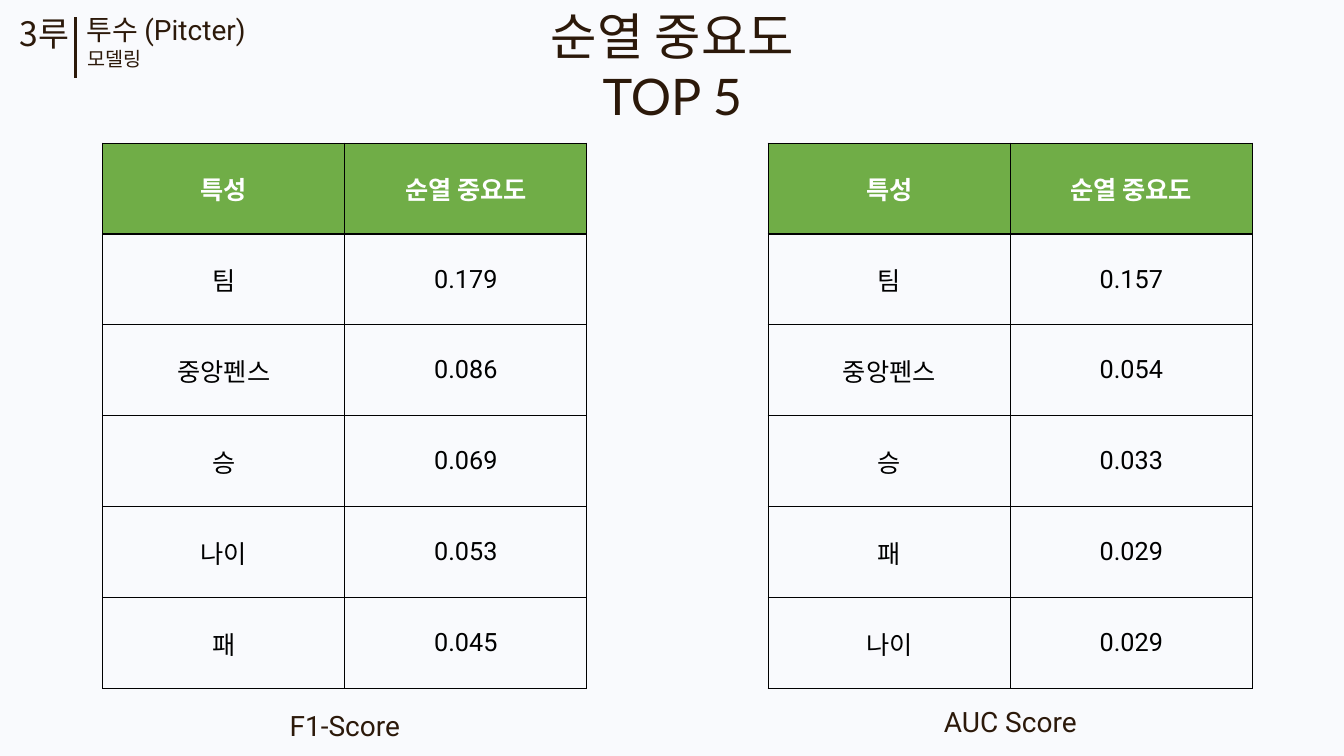
"""Build the slide with the top five permutation importances for pitchers."""
from lxml.etree import SubElement
from pptx import Presentation
from pptx.dml.color import RGBColor
from pptx.enum.shapes import MSO_CONNECTOR
from pptx.enum.text import MSO_ANCHOR, MSO_AUTO_SIZE, PP_ALIGN
from pptx.oxml.ns import qn
from pptx.util import Inches, Pt

BROWN, BLACK, WHITE, GREEN, PALE = "2C190A", "000000", "FFFFFF", "70AD47", "F9FAFD"
LEFT, CENTER = PP_ALIGN.LEFT, PP_ALIGN.CENTER
TABLE_TOP, COLUMN_WIDTH, ROW_HEIGHT = 1.42, 2.4, 0.9017

LABELS = [
    (["3루"], (0.1, 0.08, 1.24, 0.5), 24, "Noto Sans CJK KR", LEFT),
    (["투수 (Pitcter)"], (0.76, 0.08, 5.63, 0.44), 20, "Roboto", LEFT),
    (["모델링"], (0.77, 0.42, 5.63, 0.34), 14, "Roboto", LEFT),
    (["순열 중요도", "TOP 5"], (5.21, 0, 2.92, 1.31), 36, "Lato", CENTER),
    (["F1-Score"], (1.96, 6.98, 2.92, 0.44), 20, "Roboto", CENTER),
    (["AUC Score"], (8.56, 6.94, 2.92, 0.44), 20, "Roboto", CENTER),
]
HEADER = ("특성", "순열 중요도")
TABLES = [
    (1.02, [("팀", "0.179"), ("중앙펜스", "0.086"), ("승", "0.069"),
            ("나이", "0.053"), ("패", "0.045")]),
    (7.62, [("팀", "0.157"), ("중앙펜스", "0.054"), ("승", "0.033"),
            ("패", "0.029"), ("나이", "0.029")]),
]


def color(value):
    return RGBColor.from_string(value)


def style(para, size, font, tint, align, bold=False):
    para.alignment = align
    para.font.size = Pt(size)
    para.font.name = font
    para.font.bold = bold
    para.font.color.rgb = color(tint)


def add_label(page, lines, place, size, font, align):
    box = page.shapes.add_textbox(*map(Inches, place))
    frame = box.text_frame
    frame.word_wrap = True
    frame.auto_size = MSO_AUTO_SIZE.SHAPE_TO_FIT_TEXT
    frame.text = "\n".join(lines)
    for para in frame.paragraphs:
        style(para, size, font, BROWN, align)


def add_borders(cell):
    properties = cell._tc.get_or_add_tcPr()
    for side in ("a:lnL", "a:lnR", "a:lnT", "a:lnB"):
        border = SubElement(properties, qn(side), w=str(Pt(1)))
        fill = SubElement(border, qn("a:solidFill"))
        SubElement(fill, qn("a:srgbClr"), val=BLACK)


def add_importance_table(page, left, rows):
    content = [HEADER, *rows]
    width, height = len(HEADER) * COLUMN_WIDTH, len(content) * ROW_HEIGHT
    table = page.shapes.add_table(
        len(content), len(HEADER),
        Inches(left), Inches(TABLE_TOP), Inches(width), Inches(height)).table
    for row_index, row in enumerate(content):
        is_header = row_index == 0
        for column_index, text in enumerate(row):
            cell = table.cell(row_index, column_index)
            cell.text = text
            cell.vertical_anchor = MSO_ANCHOR.MIDDLE
            style(cell.text_frame.paragraphs[0], 18, "Roboto",
                  WHITE if is_header else BLACK, CENTER, is_header)
            add_borders(cell)
            if is_header:
                cell.fill.solid()
                cell.fill.fore_color.rgb = color(GREEN)
            else:
                cell.fill.background()


def add_divider(page):
    divider = page.shapes.add_connector(
        MSO_CONNECTOR.STRAIGHT, Inches(0.75), Inches(0.17), Inches(0.75), Inches(0.77))
    divider.line.color.rgb = color(BROWN)
    divider.line.width = Pt(2.25)
    SubElement(divider._element.spPr, qn("a:effectLst"))


def main():
    deck = Presentation()
    deck.slide_width, deck.slide_height = Inches(13.33), Inches(7.5)
    page = deck.slides.add_slide(deck.slide_layouts[6])
    page.background.fill.solid()
    page.background.fill.fore_color.rgb = color(PALE)
    add_divider(page)
    for left, rows in TABLES:
        add_importance_table(page, left, rows)
    for label in LABELS:
        add_label(page, *label)
    deck.save("out.pptx")


if __name__ == "__main__":
    main()
